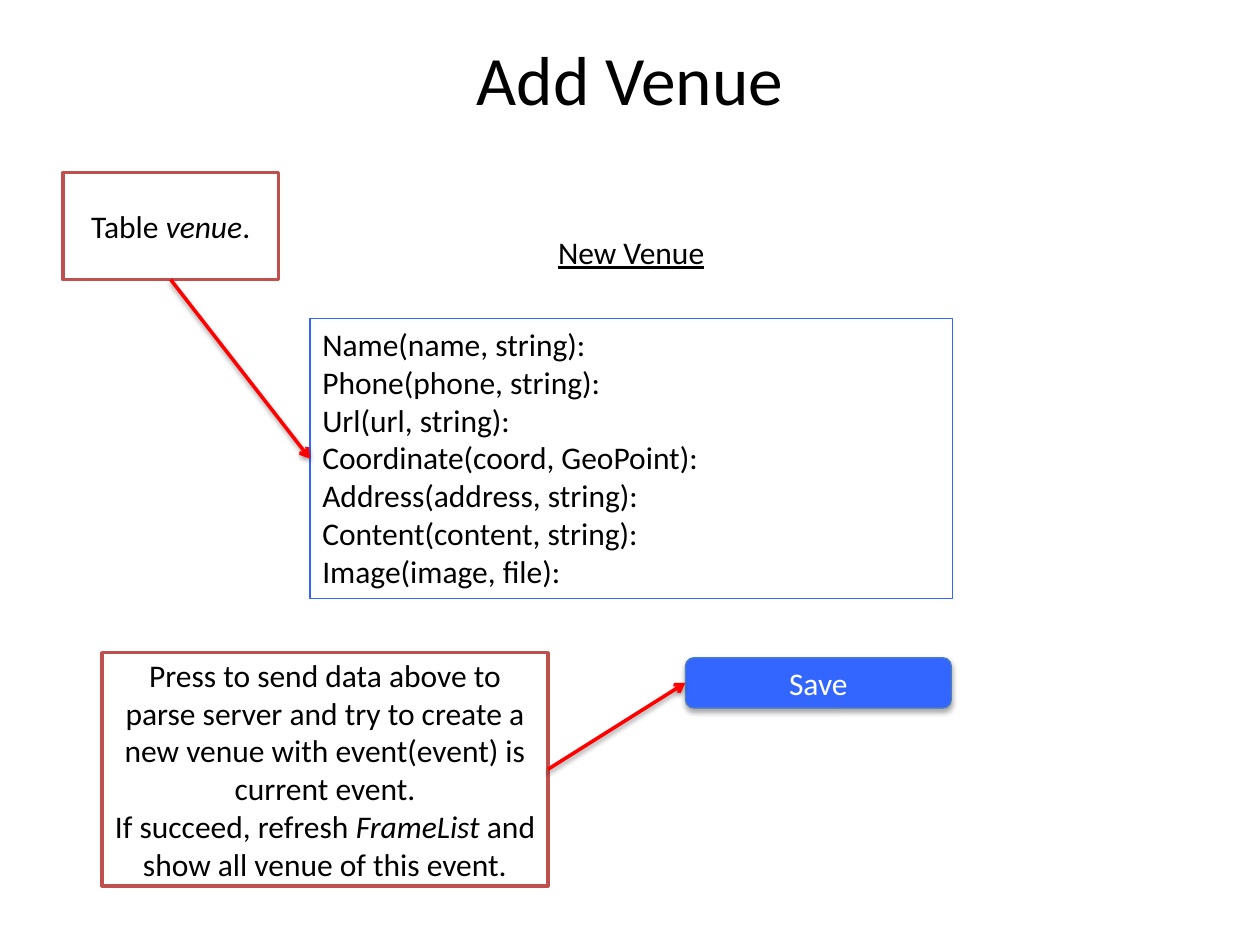
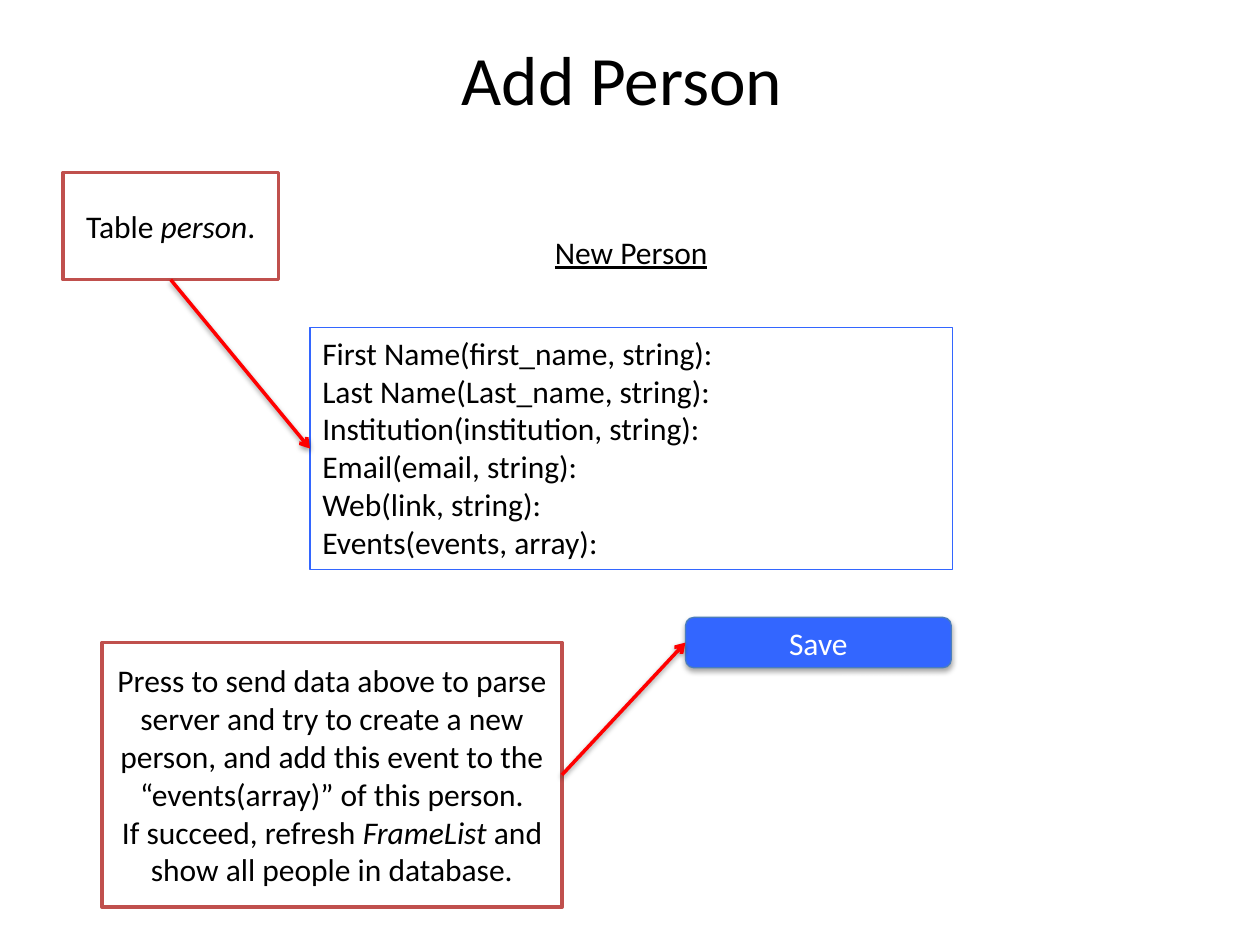
from lxml import etree
from pptx import Presentation
from pptx import util as u
from pptx.dml.color import RGBColor
from pptx.enum import shapes, text
from pptx.oxml import ns

BLACK = RGBColor(0x00, 0x00, 0x00)
WHITE = RGBColor(0xFF, 0xFF, 0xFF)
BLUE = RGBColor(0x33, 0x66, 0xFF)
BUTTON_EDGE = RGBColor(0x4B, 0x7E, 0xBC)
BRICK = RGBColor(0xC0, 0x50, 0x4D)
RED = RGBColor(0xFF, 0x00, 0x00)

LEFT, BOTTOM, RIGHT = 1, 2, 3  # connection sites of a rectangle
FORM_LEFT, FORM_WIDTH = 2.46, 5.1


class FormPages:
    """Holds the shared style and the slide being drawn."""

    font = "Calibri"
    body_size = 18
    title_size = 39.6

    def __init__(self, deck):
        """Keep the deck; a page is added by title()."""
        self.deck = deck
        self.page = None

    def fill_text(self, frame, paragraphs, color=BLACK, size=body_size,
                  align=text.PP_ALIGN.CENTER, anchor=text.MSO_ANCHOR.MIDDLE,
                  underline=None):
        """Add paragraphs, each a list of runs; every second run is italic."""
        frame.word_wrap = True
        frame.vertical_anchor = anchor
        for number, runs in enumerate(paragraphs):
            para = frame.add_paragraph() if number else frame.paragraphs[0]
            para.alignment = align
            for position, words in enumerate(runs):
                span = para.add_run()
                span.text = words
                span.font.name = self.font
                span.font.size = u.Pt(size)
                span.font.color.rgb = color
                span.font.underline = underline
                if position % 2:
                    span.font.italic = True

    def add_shadow(self, item, opacity, distance):
        """Give a shape or connector a soft shadow straight below it."""
        properties = item.element.spPr
        effects = properties.find(ns.qn("a:effectLst"))
        if effects is None:
            effects = etree.SubElement(properties, ns.qn("a:effectLst"))
        shadow = etree.SubElement(
            effects, ns.qn("a:outerShdw"), blurRad=str(u.Pt(3.1)),
            dist=str(u.Pt(distance)), dir="5400000", rotWithShape="0")
        shade = etree.SubElement(shadow, ns.qn("a:srgbClr"), val=str(BLACK))
        etree.SubElement(shade, ns.qn("a:alpha"), val=str(opacity * 1000))

    def title(self, words):
        """Start a title-only page."""
        self.page = self.deck.slides.add_slide(self.deck.slide_layouts[5])
        box = self.page.shapes.title
        box.left, box.top = u.Inches(0.5), u.Inches(0.3)
        box.width, box.height = u.Inches(9), u.Inches(0.64)
        self.fill_text(box.text_frame, [[words]], size=self.title_size)

    def heading(self, words):
        """Add the underlined heading above the form."""
        box = self.page.shapes.add_textbox(
            u.Inches(3.06), u.Inches(1.8), u.Inches(3.9), u.Inches(0.4))
        self.fill_text(box.text_frame, [[words]], underline=True,
                       anchor=text.MSO_ANCHOR.TOP)

    def shape(self, kind, left, top, width, height, fill, edge, weight):
        """Add a preset shape without shadow."""
        box = self.page.shapes.add_shape(
            kind, u.Inches(left), u.Inches(top),
            u.Inches(width), u.Inches(height))
        box.shadow.inherit = False
        if fill is None:
            box.fill.background()
        else:
            box.fill.solid()
            box.fill.fore_color.rgb = fill
        box.line.color.rgb = edge
        box.line.width = u.Pt(weight)
        return box

    def form(self, top, height, fields):
        """Add the outlined list of fields."""
        box = self.shape(shapes.MSO_SHAPE.RECTANGLE, FORM_LEFT, top,
                         FORM_WIDTH, height, None, BLUE, 0.75)
        self.fill_text(box.text_frame, [[field] for field in fields],
                       align=text.PP_ALIGN.LEFT, anchor=text.MSO_ANCHOR.TOP)
        return box

    def button(self, top, words):
        """Add a button."""
        box = self.shape(shapes.MSO_SHAPE.ROUNDED_RECTANGLE, 5.44, top,
                         2.11, 0.4, BLUE, BUTTON_EDGE, 0.75)
        self.add_shadow(box, 35, 1.8)
        self.fill_text(box.text_frame, [[words]], color=WHITE)
        return box

    def note(self, left, top, width, height, paragraphs):
        """Add a red-framed explanation."""
        box = self.shape(shapes.MSO_SHAPE.FLOWCHART_PROCESS, left, top,
                         width, height, WHITE, BRICK, 2)
        self.fill_text(box.text_frame, paragraphs)
        return box

    def arrow(self, source, source_site, target):
        """Point from a note to the left side of what it explains."""
        link = self.page.shapes.add_connector(
            shapes.MSO_CONNECTOR.STRAIGHT, 0, 0, 0, 0)
        link.begin_connect(source, source_site)
        link.end_connect(target, LEFT)
        link.line.color.rgb = RED
        link.line.width = u.Pt(2)
        outline = link.element.spPr.find(ns.qn("a:ln"))
        etree.SubElement(outline, ns.qn("a:tailEnd"), type="arrow")
        self.add_shadow(link, 38, 1.6)


def add_form_page(pages, title, heading, table, fields, form_place,
                  save_top, note_place, note_text):
    """Draw one form with its two explanations."""
    pages.title(title)
    pages.heading(heading)
    form = pages.form(*form_place, fields)
    save = pages.button(save_top, "Save")
    save_note = pages.note(0.81, *note_place, note_text)
    pages.arrow(save_note, RIGHT, save)
    table_note = pages.note(0.5, 1.37, 1.71, 0.85, [["Table ", table, "."]])
    pages.arrow(table_note, BOTTOM, form)


def main():
    """Build and save the deck."""
    deck = Presentation()
    deck.slide_width, deck.slide_height = u.Inches(10), u.Inches(7.5)
    pages = FormPages(deck)
    add_form_page(
        pages, "Add Venue", "New Venue", "venue",
        ["Name(name, string):", "Phone(phone, string):",
         "Url(url, string):", "Coordinate(coord, GeoPoint):",
         "Address(address, string):", "Content(content, string):",
         "Image(image, file):"],
        form_place=(2.53, 2.22), save_top=5.22,
        note_place=(5.18, 3.54, 1.85),
        note_text=[
            ["Press to send data above to parse server and try to create "
             "a new venue with event(event) is current event."],
            ["If succeed, refresh ", "FrameList",
             " and show all venue of this event."]])
    add_form_page(
        pages, "Add Person ", "New Person", "person",
        ["First Name(first_name, string):", "Last Name(Last_name, string):",
         "Institution(institution, string):", "Email(email, string):",
         "Web(link, string):", "Events(events, array):"],
        form_place=(2.6, 1.92), save_top=4.9,
        note_place=(5.1, 3.65, 2.1),
        note_text=[
            ["Press to send data above to parse server and try to create "
             "a new person, and add this event to the "
             "\u201cevents(array)\u201d of this person."],
            ["If succeed, refresh ", "FrameList",
             " and show all people in database."]])
    deck.save("out.pptx")


main()
